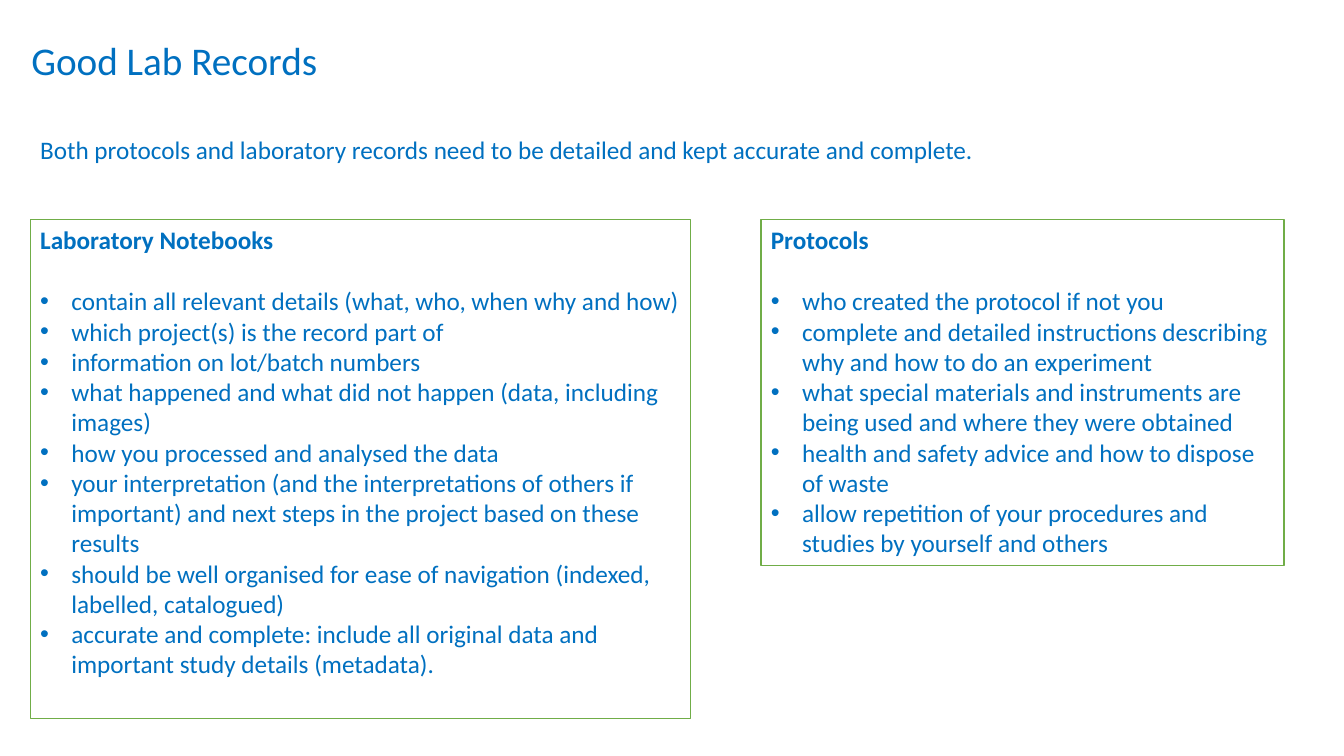
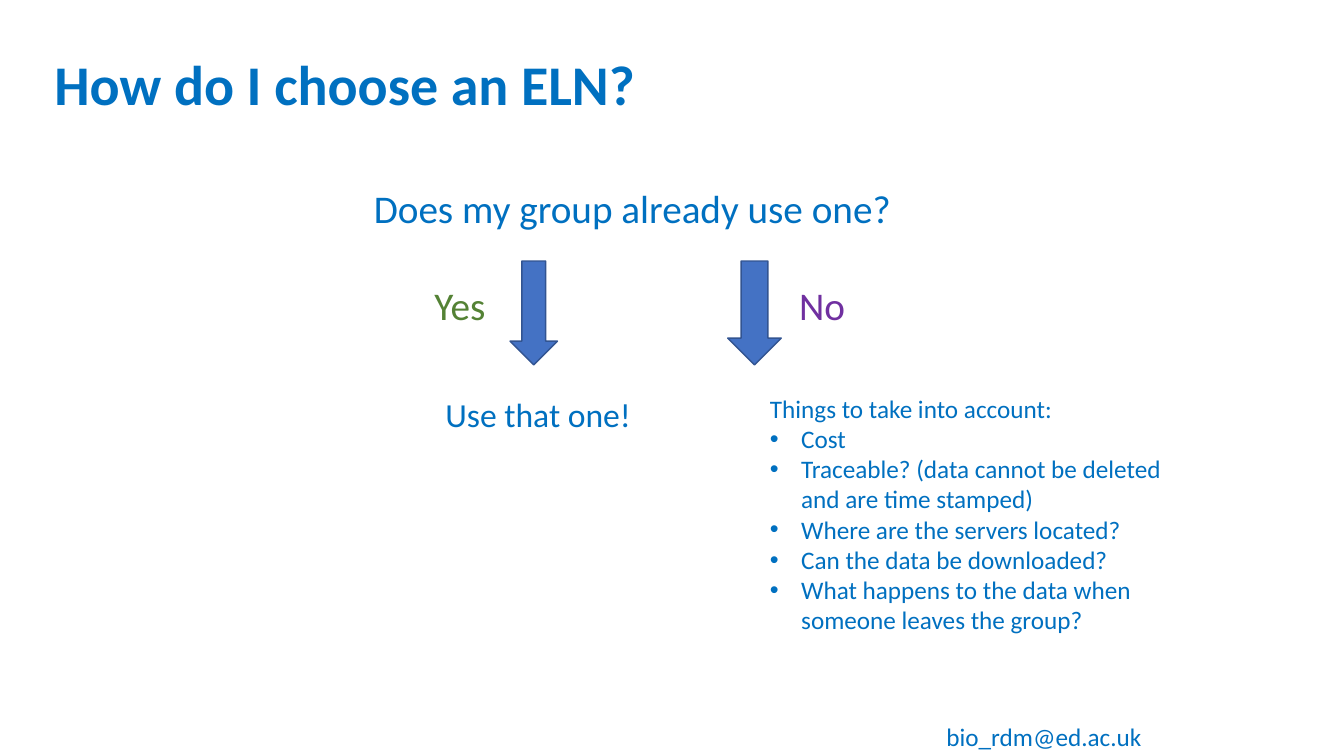
"""Build two slides on lab records and the choice of an ELN."""
from dataclasses import dataclass

from lxml.etree import SubElement
from pptx import Presentation
from pptx.dml.color import RGBColor
from pptx.enum.shapes import MSO_SHAPE
from pptx.enum.text import MSO_ANCHOR, MSO_AUTO_SIZE, PP_ALIGN
from pptx.oxml.ns import qn
from pptx.util import Inches, Pt

WIDE, HIGH = Inches(13.333), Inches(7.5)
FONT = "Calibri"
BLUE, GREEN, WHITE = "0070C0", "70AD47", "FFFFFF"
MID, EDGE = "4472C4", "325491"
LEAF, PLUM = "548235", "7030A0"
HANG = Inches(0.31)
GAP = Pt(22)
LEFT_COL, CARD_TOP = 2.25, 29.07


@dataclass(frozen=True)
class Box:
    """Hold a place in per cent of the slide's width and height."""
    left: float
    top: float
    width: float
    height: float

    def place(self) -> tuple[int, int, int, int]:
        """Return the place in slide units."""
        return (int(WIDE * self.left / 100), int(HIGH * self.top / 100),
                int(WIDE * self.width / 100), int(HIGH * self.height / 100))


@dataclass(frozen=True)
class Note:
    """Hold one line of free text."""
    box: Box
    text: str
    size: int = 18
    tint: str = BLUE
    wrap: bool = True
    align: PP_ALIGN = PP_ALIGN.LEFT


@dataclass(frozen=True)
class Points:
    """Hold a heading with its bullet points."""
    box: Box
    head: str
    items: tuple[str, ...]
    framed: bool = True


NOTEBOOK = Points(Box(LEFT_COL, CARD_TOP, 49.13, 66), "Laboratory Notebooks", (
    "contain all relevant details (what, who, when why and how)",
    "which project(s) is the record part of",
    "information on lot/batch numbers",
    "what happened and what did not happen (data, including images)",
    "how you processed and analysed the data",
    "your interpretation (and the interpretations of others if important) "
    "and next steps in the project based on these results",
    "should be well organised for ease of navigation "
    "(indexed, labelled, catalogued)",
    "accurate and complete: include all original data and important study "
    "details (metadata).",
))
METHODS = Points(Box(56.62, CARD_TOP, 38.93, 45.73), "Protocols", (
    "who created the protocol if not you",
    "complete and detailed instructions describing why and how to do an "
    "experiment",
    "what special materials and instruments are being used and where they "
    "were obtained",
    "health and safety advice and how to dispose of waste",
    "allow repetition of your procedures and studies by yourself and others",
))
FACTORS = Points(Box(56.55, 51.33, 30.6, 33.6), "Things to take into account:", (
    "Cost",
    "Traceable? (data cannot be deleted and are time stamped)",
    "Where are the servers located?",
    "Can the data be downloaded?",
    "What happens to the data when someone leaves the group?",
), framed=False)
INTRO = Note(
    Box(LEFT_COL, 17.07, 94.28, 5.33),
    "Both protocols and laboratory records need to be detailed and kept "
    "accurate and complete.", align=PP_ALIGN.JUSTIFY)
CHOICES = (
    Note(Box(27.08, 23.73, 42.23, 7.6), "Does my group already use one?", 28),
    Note(Box(31.58, 36.53, 5.33, 7.6), "Yes", 28, LEAF, wrap=False),
    Note(Box(58.73, 36.53, 4.95, 7.6), "No", 28, PLUM, wrap=False),
    Note(Box(32.4, 51.47, 15.75, 6.67), "Use that one!", 24),
    Note(Box(69.68, 94.8, 17.78, 5.2), "bio_rdm@ed.ac.uk"),
)
ARROWS = (Box(37.95, 34.53, 3.53, 13.73), Box(54.15, 34.53, 3.98, 13.73))


def paint(tint: str) -> RGBColor:
    """Turn a hex string into a colour."""
    return RGBColor.from_string(tint)


def style(para, size: int, tint: str = BLUE, bold: bool = False) -> None:
    """Format the runs of a paragraph."""
    for run in para.runs:
        run.font.name, run.font.size = FONT, Pt(size)
        run.font.bold = bold
        run.font.color.rgb = paint(tint)


def bullet(para) -> None:
    """Give a paragraph a hanging round bullet."""
    props = para._p.get_or_add_pPr()
    props.set("marL", str(HANG))
    props.set("indent", str(-HANG))
    SubElement(props, qn("a:buFont"), typeface="Arial")
    SubElement(props, qn("a:buChar"), char="•")


def add_title(slide, text: str, box: Box, size: int, bold: bool,
              pitch: float) -> None:
    """Move, fill and format the title."""
    title = slide.shapes.title
    title.left, title.top, title.width, title.height = box.place()
    frame = title.text_frame
    frame.text = text
    frame.auto_size = MSO_AUTO_SIZE.NONE
    frame.vertical_anchor = MSO_ANCHOR.MIDDLE
    para = frame.paragraphs[0]
    para.alignment, para.line_spacing = PP_ALIGN.LEFT, pitch
    style(para, size, bold=bold)


def add_note(slide, note: Note) -> None:
    """Draw one line of free text."""
    frame = slide.shapes.add_textbox(*note.box.place()).text_frame
    frame.word_wrap = note.wrap
    frame.text = note.text
    frame.paragraphs[0].alignment = note.align
    style(frame.paragraphs[0], note.size, note.tint)


def add_shape(slide, kind: MSO_SHAPE, box: Box, fill: str, line: str):
    """Draw a flat shape with a thin line."""
    shape = slide.shapes.add_shape(kind, *box.place())
    shape.shadow.inherit = False
    shape.fill.solid()
    shape.fill.fore_color.rgb = paint(fill)
    shape.line.color.rgb = paint(line)
    shape.line.width = Pt(1)
    return shape


def add_points(slide, points: Points) -> None:
    """Draw a heading and its bullets, framed or free."""
    if points.framed:
        shape = add_shape(slide, MSO_SHAPE.RECTANGLE, points.box, WHITE, GREEN)
    else:
        shape = slide.shapes.add_textbox(*points.box.place())
    frame = shape.text_frame
    frame.word_wrap = True
    frame.vertical_anchor = MSO_ANCHOR.TOP
    frame.text = "\n".join((points.head, *points.items))
    head, *items = frame.paragraphs
    for para in items:
        bullet(para)
        style(para, 18)
    for para in frame.paragraphs:
        para.alignment = PP_ALIGN.LEFT
    style(head, 18, bold=points.framed)
    if points.framed:
        items[0].space_before = GAP


def main() -> None:
    """Build and save the deck."""
    deck = Presentation()
    deck.slide_width, deck.slide_height = WIDE, HIGH
    layout = deck.slide_layouts.get_by_name("Title Only")

    slide = deck.slides.add_slide(layout)
    add_title(slide, "Good Lab Records", Box(1.58, 4.13, 93.23, 7.6),
              28, False, 1.0)
    add_note(slide, INTRO)
    for points in (NOTEBOOK, METHODS):
        add_points(slide, points)

    slide = deck.slides.add_slide(layout)
    add_title(slide, "How do I choose an ELN?", Box(3.3, 2.67, 68.25, 17.73),
              40, True, 0.9)
    for note in CHOICES:
        add_note(slide, note)
    for box in ARROWS:
        add_shape(slide, MSO_SHAPE.DOWN_ARROW, box, MID, EDGE)
    add_points(slide, FACTORS)

    deck.save("out.pptx")


if __name__ == "__main__":
    main()
